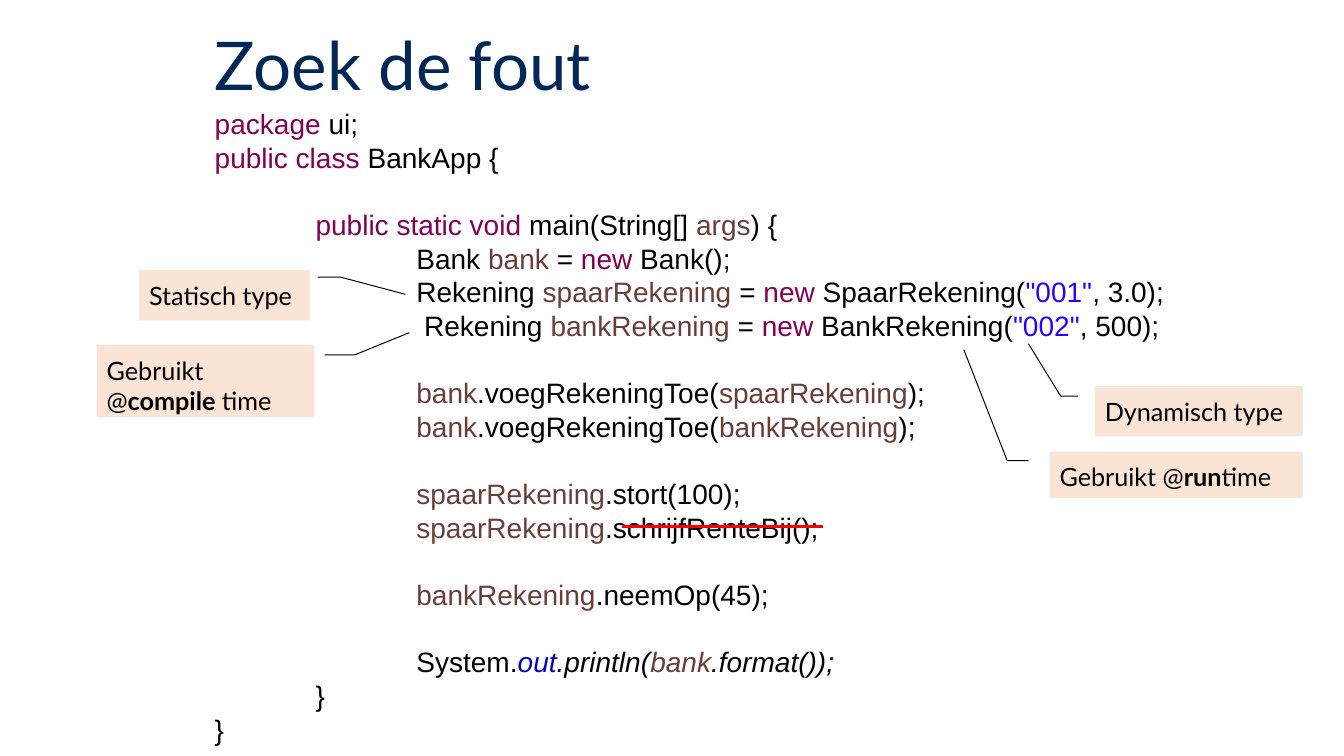
from pptx import Presentation
from pptx.dml.color import RGBColor
from pptx.enum.shapes import MSO_CONNECTOR, MSO_SHAPE
from pptx.enum.text import MSO_ANCHOR, PP_ALIGN
from pptx.oxml.ns import qn
from pptx.util import Inches, Pt
from lxml import etree

COLORS = {
    "title": "002756",
    "keyword": "7E0054",
    "plain": "000000",
    "variable": "6A3D3D",
    "string": "2A00FF",
    "field": "0000C0",
    "callout": "FAE4D5",
    "strike": "FF0000",
}
TAB = 1  # inches per code indent level


def color(name):
    return RGBColor.from_string(COLORS[name])


def setup_frame(s, left=0.01, top=0.03):
    tf = s.text_frame
    tf.word_wrap = True
    tf.vertical_anchor = MSO_ANCHOR.TOP
    tf.margin_left, tf.margin_top = Inches(left), Inches(top)
    tf.margin_right = tf.margin_bottom = 0
    return tf


def add_run(p, text, font, size, tint="plain", bold=False, italic=False):
    r = p.add_run()
    r.text = text
    r.font.name, r.font.size = font, Pt(size)
    r.font.bold, r.font.italic = bold, italic
    r.font.color.rgb = color(tint)


def add_title(slide, text):
    s = slide.shapes.add_textbox(Inches(2.12), Inches(0.2), Inches(5), Inches(0.83))
    add_run(setup_frame(s).paragraphs[0], text, "Lato", 48, "title")


def add_code(slide, left, top, width, height, lines):
    """Each line is (indent level, space before, runs); a run is (text, colour[, italic])."""
    s = slide.shapes.add_textbox(Inches(left), Inches(top), Inches(width), Inches(height))
    tf = setup_frame(s)
    for i, (level, before, runs) in enumerate(lines):
        p = tf.paragraphs[0] if i == 0 else tf.add_paragraph()
        p.space_before = Pt(before)
        p._p.get_or_add_pPr().set("marL", str(Inches(level * TAB)))
        for text, tint, *italic in runs:
            add_run(p, text, "Arial", 20, tint, italic=bool(italic))


def add_callout(slide, left, top, width, height, runs):
    s = slide.shapes.add_shape(MSO_SHAPE.RECTANGLE, Inches(left), Inches(top),
                               Inches(width), Inches(height))
    s.shadow.inherit = False
    s.fill.solid()
    s.fill.fore_color.rgb = color("callout")
    s.line.fill.background()
    p = setup_frame(s, 0.1, 0.1).paragraphs[0]
    p.alignment = PP_ALIGN.LEFT
    for text, bold in runs:
        add_run(p, text, "Lato", 18, bold=bold)


def add_leader(slide, *points):
    start, *rest = [(Inches(x), Inches(y)) for x, y in points]
    builder = slide.shapes.build_freeform(*start)
    builder.add_line_segments(rest, close=False)
    s = builder.convert_to_shape()
    s.shadow.inherit = False
    s.fill.background()
    s.line.color.rgb = color("plain")
    s.line.width = Pt(0.72)


def add_strike(slide, x1, x2, y):
    s = slide.shapes.add_connector(MSO_CONNECTOR.STRAIGHT, Inches(x1), Inches(y),
                                   Inches(x2), Inches(y))
    s.line.color.rgb = color("strike")
    s.line.width = Pt(2.04)
    etree.SubElement(s._element.spPr, qn("a:effectLst"))


def add_account(account):
    """Code that registers an account with the bank."""
    return 0, 0, [("bank", "variable"), (".voegRekeningToe(", "plain"),
                  (account, "variable"), (");", "plain")]


def call(level, account, method):
    return level, 0, [(account, "variable"), (method, "plain")]


def new_account(account, cls, number, rest):
    return [("Rekening ", "plain"), (account + " ", "variable"), ("= ", "plain"),
            ("new ", "keyword"), (cls + "(", "plain"), (number, "string"), (rest, "plain")]


def main():
    prs = Presentation()
    prs.slide_width, prs.slide_height = Inches(13.33), Inches(7.5)
    slide = prs.slides.add_slide(prs.slide_layouts[6])

    add_title(slide, "Zoek de fout")

    # Code listing, one box per block
    add_code(slide, 2.12, 1.03, 4, 0.7, [
        (0, 0, [("package ", "keyword"), ("ui;", "plain")]),
        (0, 0, [("public class ", "keyword"), ("BankApp {", "plain")]),
    ])
    add_code(slide, 3.12, 2.03, 8.43, 1.7, [
        (0, 0, [("public static void ", "keyword"), ("main(String[] ", "plain"),
                ("args", "variable"), (") {", "plain")]),
        (1, 0, [("Bank ", "plain"), ("bank ", "variable"), ("= ", "plain"),
                ("new ", "keyword"), ("Bank();", "plain")]),
        (1, 0, new_account("spaarRekening", "SpaarRekening", '"001"', ", 3.0);  ")
         + new_account("bankRekening", "BankRekening", '"002"', ", 500);")),
    ])
    add_code(slide, 4.12, 3.7, 5.2, 0.7,
             [add_account("spaarRekening"), add_account("bankRekening")])
    add_code(slide, 4.12, 4.7, 4.2, 0.7, [
        call(0, "spaarRekening", ".stort(100);"),
        call(0, "spaarRekening", ".schrijfRenteBij();"),
    ])
    add_code(slide, 2.12, 5.7, 6.5, 1.7, [
        call(2, "bankRekening", ".neemOp(45);"),
        (2, 24, [("System.", "plain"), ("out", "field", True), (".println(", "plain", True),
                 ("bank", "variable", True), (".format());", "plain", True)]),
        (1, 0, [("}", "plain")]),
        (0, 0, [("}", "plain")]),
    ])
    add_strike(slide, 6.17, 8.16, 5.22)

    # Callouts and their leader lines
    add_callout(slide, 1.38, 2.68, 1.69, 0.5, [("Statisch type", False)])
    add_leader(slide, (3.15, 2.75), (3.38, 2.75), (4.02, 2.92))
    add_callout(slide, 0.96, 3.42, 2.16, 0.72,
                [("Gebruikt @", False), ("compile ", True), ("time", False)])
    add_leader(slide, (3.22, 3.52), (3.52, 3.52), (4.06, 3.3))
    add_callout(slide, 10.86, 3.83, 2.06, 0.5, [("Dynamisch type", False)])
    add_leader(slide, (10.69, 3.93), (10.52, 3.93), (10.2, 3.41))
    add_callout(slide, 10.41, 4.48, 2.51, 0.46,
                [("Gebruikt @", False), ("run", True), ("time", False)])
    add_leader(slide, (10.2, 4.57), (9.99, 4.57), (9.56, 3.47))

    prs.save("out.pptx")


if __name__ == "__main__":
    main()
